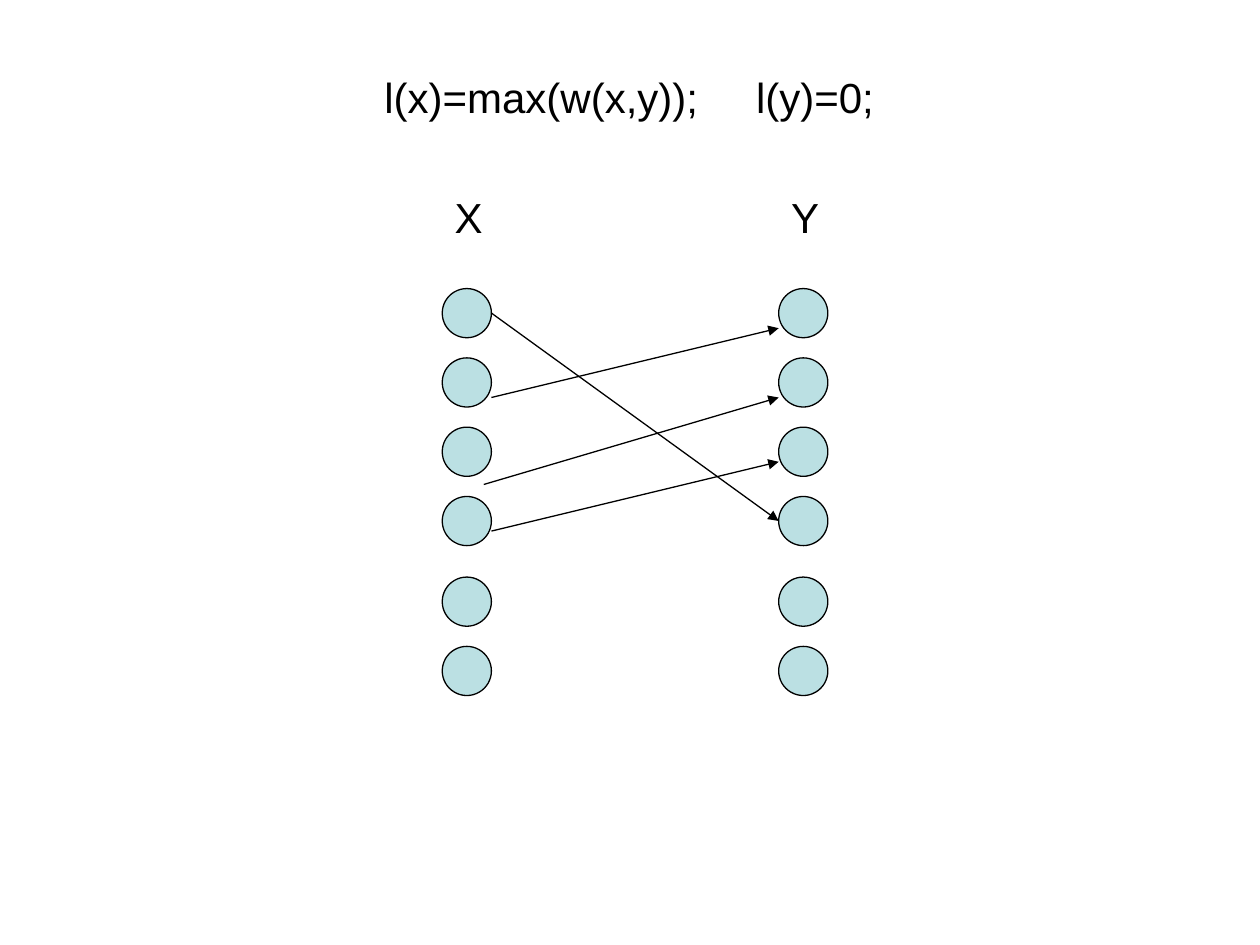
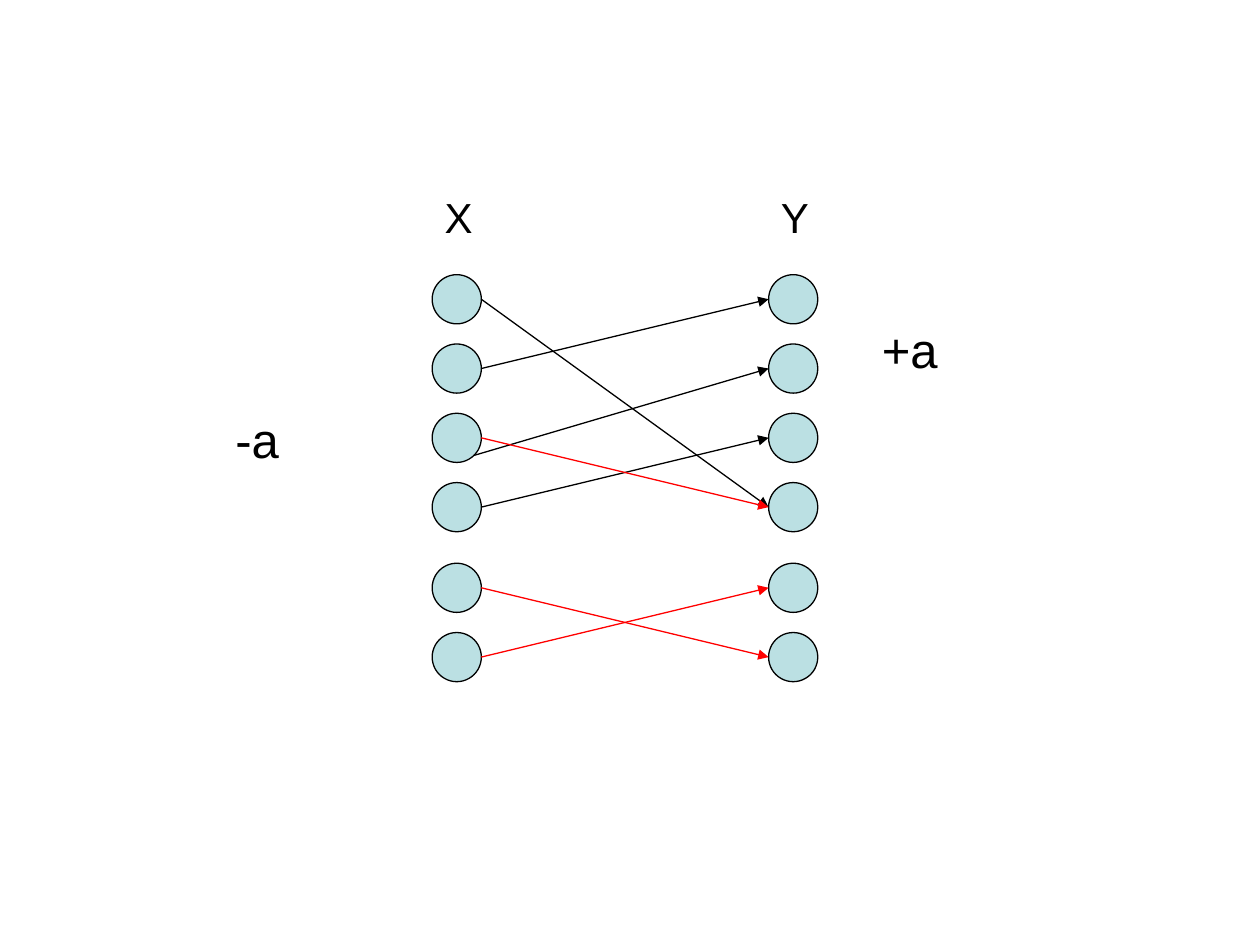
from pptx import Presentation
from pptx.dml.color import RGBColor
from pptx.enum.shapes import MSO_CONNECTOR as Line, MSO_SHAPE as Shape
from pptx.enum.text import MSO_ANCHOR as Anchor, MSO_AUTO_SIZE as Fit, PP_ALIGN as Align
from pptx.oxml.ns import qn
from pptx.util import Inches, Pt
from lxml.etree import SubElement as Sub

WIDE, HIGH = 10, 7.5
INK, RED, NODE = "000000", "FF0000", "BBE0E3"
THIN = Pt(0.75)
SIZE, STEP, SPAN = 0.39, 0.55, 2.67   # circle, row pitch, column pitch
ROWS, MAIN, GAP = 6, 4, 0.09          # the rows after MAIN sit GAP lower
HEAD = 1.47                           # top of the column letters
LOW = (-0.06, 0.14)                   # start at the lower right of a circle


def color(code):
    return RGBColor.from_string(code)


def place(shape, box):
    for name, value in zip(("left", "top", "width", "height"), box):
        setattr(shape, name, Inches(value))


def write(shape, text, size=24):
    """Set one line of left-aligned text in a box that fits its height."""
    frame = shape.text_frame
    look = dict(word_wrap=True, auto_size=Fit.SHAPE_TO_FIT_TEXT,
                vertical_anchor=Anchor.TOP)
    for name, value in look.items():
        setattr(frame, name, value)
    para = frame.paragraphs[0]
    para.alignment = Align.LEFT
    run = para.add_run()
    run.text = text
    for name, value in dict(name="Arial", size=Pt(size)).items():
        setattr(run.font, name, value)
    run.font.color.rgb = color(INK)
    return para


def label(slide, box, text, size=24):
    write(slide.shapes.add_textbox(*map(Inches, box)), text, size)


def title(slide, box, left, right, stop):
    """Put two formulas in the title, the right one at a tab stop."""
    shape = slide.shapes.title
    place(shape, box)
    para = write(shape, f"{left}\t{right}")
    tabs = Sub(para._p.get_or_add_pPr(), qn("a:tabLst"))
    Sub(tabs, qn("a:tab"), pos=str(Inches(stop)), algn="l")


def row(i):
    return i * STEP + (GAP if i >= MAIN else 0)


def nodes(slide, left, top):
    group = slide.shapes.add_group_shape()
    for i in range(ROWS):
        box = (left, top + row(i), SIZE, SIZE)
        dot = group.shapes.add_shape(Shape.OVAL, *map(Inches, box))
        dot.shadow.inherit = False
        dot.fill.solid()
        dot.fill.fore_color.rgb = color(NODE)
        dot.line.color.rgb = color(INK)
        dot.line.width = THIN


def arrow(slide, start, end, tint):
    link = slide.shapes.add_connector(Line.STRAIGHT, *map(Inches, start + end))
    link.line.color.rgb = color(tint)
    link.line.width = THIN
    Sub(link.line._get_or_add_ln(), qn("a:tailEnd"), type="triangle")
    Sub(link._element.spPr, qn("a:effectLst"))


def graph(slide, left, top, edges):
    """Draw columns X and Y; an edge is (from, to, colour, drop, start shift)."""
    for i, (name, wide) in enumerate((("X", 1.34), ("Y", 1.24))):
        x = left + i * SPAN
        nodes(slide, x, top)
        label(slide, (x, HEAD, wide, 0.5), name)
    mid = top + SIZE / 2
    for a, b, tint, drop, (dx, dy) in edges:
        start = (left + SIZE + dx, mid + row(a) + drop + dy)
        end = (left + SPAN, mid + row(b) + drop)
        arrow(slide, start, end, tint)


def match(drops):
    """List the black edges, each moved down by its drop."""
    pairs = ((1, 0, (0, 0)), (2, 1, LOW), (3, 2, (0, 0)), (0, 3, (0, 0)))
    return [(a, b, INK, drop, shift) for (a, b, shift), drop in zip(pairs, drops)]


def main():
    deck = Presentation()
    deck.slide_width, deck.slide_height = Inches(WIDE), Inches(HIGH)
    bare, titled = deck.slide_layouts[6], deck.slide_layouts[5]

    first = deck.slides.add_slide(titled)
    title(first, (2.95, 0.52, 6.38, 0.5), "l(x)=max(w(x,y));", "l(y)=0;", 2.95)
    graph(first, 3.51, 2.29, match((0.12, 0.12, 0.08, 0)))

    second = deck.slides.add_slide(bare)
    extra = [(a, b, RED, 0, (0, 0)) for a, b in ((4, 5), (2, 3), (5, 4))]
    graph(second, 3.43, 2.18, match((0, 0, 0, 0)) + extra)
    label(second, (1.77, 3.2, 2.29, 0.57), "-a", 28)
    label(second, (6.9, 2.49, 1.88, 0.57), "+a", 28)

    deck.save("out.pptx")


if __name__ == "__main__":
    main()
